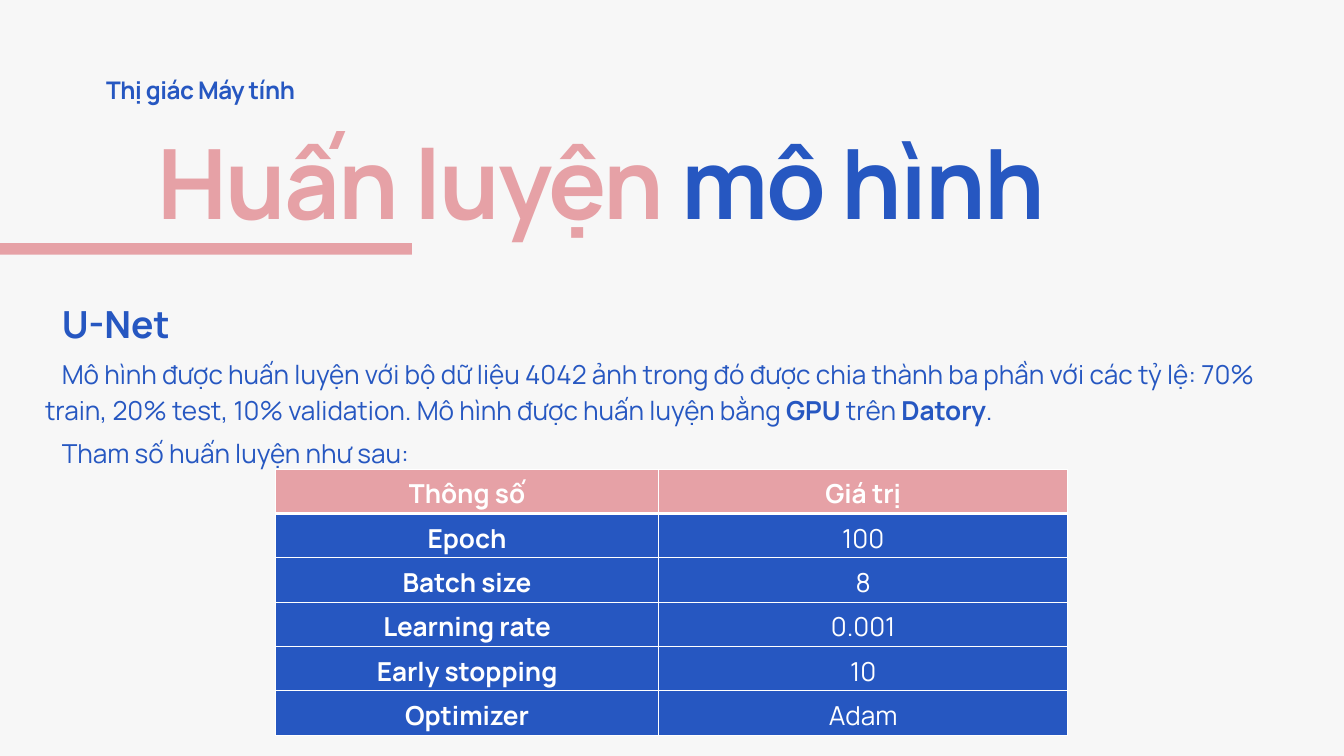
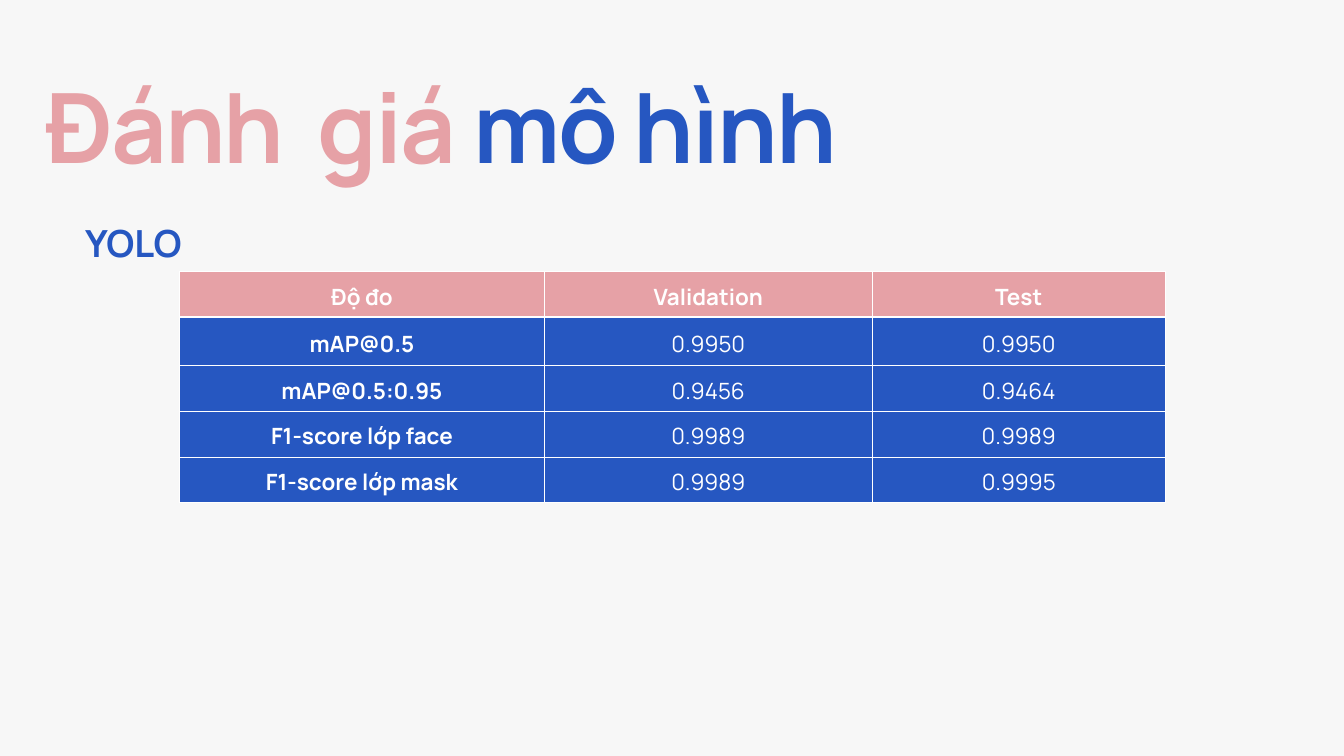
"""Build two slides on training and evaluating the vision models."""
import dataclasses

import pptx
import pptx.dml.color
import pptx.enum.shapes
import pptx.enum.text
import pptx.oxml.ns
import pptx.util
from lxml import etree


@dataclasses.dataclass(frozen=True)
class Theme:
    font: str = "Manrope"
    paper: str = "F7F7F7"
    pink: str = "E6A1A6"
    blue: str = "2657C1"
    white: str = "FFFFFF"
    title: float = 103.9
    heading: float = 40
    body: float = 28
    label: float = 26
    small: float = 24


theme = Theme()
color = pptx.dml.color.RGBColor.from_string
align = pptx.enum.text.PP_ALIGN
middle = pptx.enum.text.MSO_ANCHOR.MIDDLE
deck = pptx.Presentation()
deck.slide_width = pptx.util.Inches(20)
deck.slide_height = pptx.util.Inches(11.25)
column = deck.slide_width / 20
row = deck.slide_height / 11.25


def place(left, top, width, height):
    return [int(left * column), int(top * row), int(width * column), int(height * row)]


def write(para, spans, size, spacing, alignment=None, after=None, tracking=0):
    para.alignment = alignment
    para.line_spacing = spacing
    if after:
        para.space_after = pptx.util.Pt(after)
    for text, bold, ink in spans:
        span = para.add_run()
        span.text = text
        span.font.name = theme.font
        span.font.size = pptx.util.Pt(size)
        span.font.bold = bold
        span.font.color.rgb = color(ink)
        if tracking:
            span.font._element.set("spc", str(round(tracking * 100)))


titles = [
    ("Huấn luyện ", place(1.17, 1.53, 15.56, 1.93), align.CENTER),
    ("Đánh  giá ", place(0.67, 0.7, 18.67, 1.93), align.LEFT),
]
pages = []
for lead, area, alignment in titles:
    page = deck.slides.add_slide(deck.slide_layouts[6])
    page.background.fill.solid()
    page.background.fill.fore_color.rgb = color(theme.paper)
    frame = page.shapes.add_textbox(*area).text_frame
    frame.word_wrap = True
    frame.margin_left = frame.margin_top = frame.margin_right = frame.margin_bottom = 0
    write(frame.paragraphs[0], [(lead, True, theme.pink), ("mô hình", True, theme.blue)],
          theme.title, pptx.util.Pt(145.5), alignment, tracking=-2.1)
    pages.append(page)
training, evaluation = pages

frame = training.shapes.add_textbox(*place(0.42, 4.38, 18.67, 2.6)).text_frame
frame.word_wrap = True
frame.margin_left = frame.margin_top = frame.margin_right = frame.margin_bottom = 0
description = [
    (theme.heading, [("U-Net", True)]),
    (theme.body, [
        ("Mô hình được huấn luyện với bộ dữ liệu 4042 ảnh trong đó được chia thành ba phần "
         "với các tỷ lệ: 70% train, 20% test, 10% validation. "
         "Mô hình được huấn luyện bằng ", False),
        ("GPU", True), (" trên ", False), ("Datory", True), (".", False)]),
    (theme.body, [("Tham số huấn luyện như sau:", False)]),
]
for index, (size, spans) in enumerate(description):
    para = frame.add_paragraph() if index else frame.paragraphs[0]
    write(para, [(text, bold, theme.blue) for text, bold in spans], size, 1.15, after=8)
    for side in ("marL", "indent"):
        para._p.get_or_add_pPr().set(side, str(int(0.25 * column)))

bar = training.shapes.add_shape(pptx.enum.shapes.MSO_SHAPE.RECTANGLE, *place(0, 3.62, 6.13, 0.17))
bar.shadow.inherit = False
bar.fill.solid()
bar.fill.fore_color.rgb = color(theme.pink)
bar.line.fill.background()

frame = training.shapes.add_textbox(*place(1.58, 1.05, 4.94, 0.48)).text_frame
frame.word_wrap = True
frame.margin_left = frame.margin_top = frame.margin_right = frame.margin_bottom = 0
write(frame.paragraphs[0], [("Thị giác Máy tính", True, theme.blue)], theme.label,
      pptx.util.Pt(36.4), align.JUSTIFY, tracking=-0.5)

frame = evaluation.shapes.add_textbox(*place(1.17, 2.64, 6.64, 1.27)).text_frame
frame.word_wrap = True
frame.vertical_anchor = middle
write(frame.paragraphs[0], [("YOLO", True, theme.blue)], theme.heading, 2.0)

parameters = [
    ("Thông số", "Giá trị"),
    ("Epoch", "100"),
    ("Batch size", "8"),
    ("Learning rate", "0.001"),
    ("Early stopping", "10"),
    ("Optimizer", "Adam"),
]
scores = [
    ("Độ đo", "Validation", "Test"),
    ("mAP@0.5", "0.9950", "0.9950"),
    ("mAP@0.5:0.95", "0.9456", "0.9464"),
    ("F1-score lớp face", "0.9989", "0.9989"),
    ("F1-score lớp mask", "0.9989", "0.9995"),
]
tables = [
    (training, parameters, (4.1, 6.98), (5.7, 6.09), [0.66] * 6, theme.body),
    (evaluation, scores, (2.67, 4.04), (5.43, 4.88, 4.36), [0.68, 0.72] + [0.68] * 3, theme.small),
]
for page, records, corner, widths, heights, size in tables:
    area = place(*corner, sum(widths), sum(heights))
    table = page.shapes.add_table(len(records), len(widths), *area).table
    table.horz_banding = False
    for index, width in enumerate(widths):
        table.columns[index].width = int(width * column)
    for line, (record, height) in enumerate(zip(records, heights)):
        table.rows[line].height = int(height * row)
        for index, text in enumerate(record):
            cell = table.cell(line, index)
            cell.vertical_anchor = middle
            cell.margin_left = cell.margin_right = int(0.07 * column)
            cell.margin_top = cell.margin_bottom = 0
            cell.fill.solid()
            cell.fill.fore_color.rgb = color(theme.blue if line else theme.pink)
            bold = line == 0 or index == 0
            write(cell.text_frame.paragraphs[0], [(text, bold, theme.white)],
                  size, 1.15, align.CENTER, after=8)
            properties = cell._tc.get_or_add_tcPr()
            for order, side in enumerate(("lnL", "lnR", "lnT", "lnB")):
                heavy = (line, side) in ((0, "lnB"), (1, "lnT"))
                border = etree.Element(pptx.oxml.ns.qn("a:" + side),
                                       w=str(pptx.util.Pt(3 if heavy else 1)))
                fill = etree.SubElement(border, pptx.oxml.ns.qn("a:solidFill"))
                etree.SubElement(fill, pptx.oxml.ns.qn("a:srgbClr"), val=theme.white)
                properties.insert(order, border)

deck.save("out.pptx")
